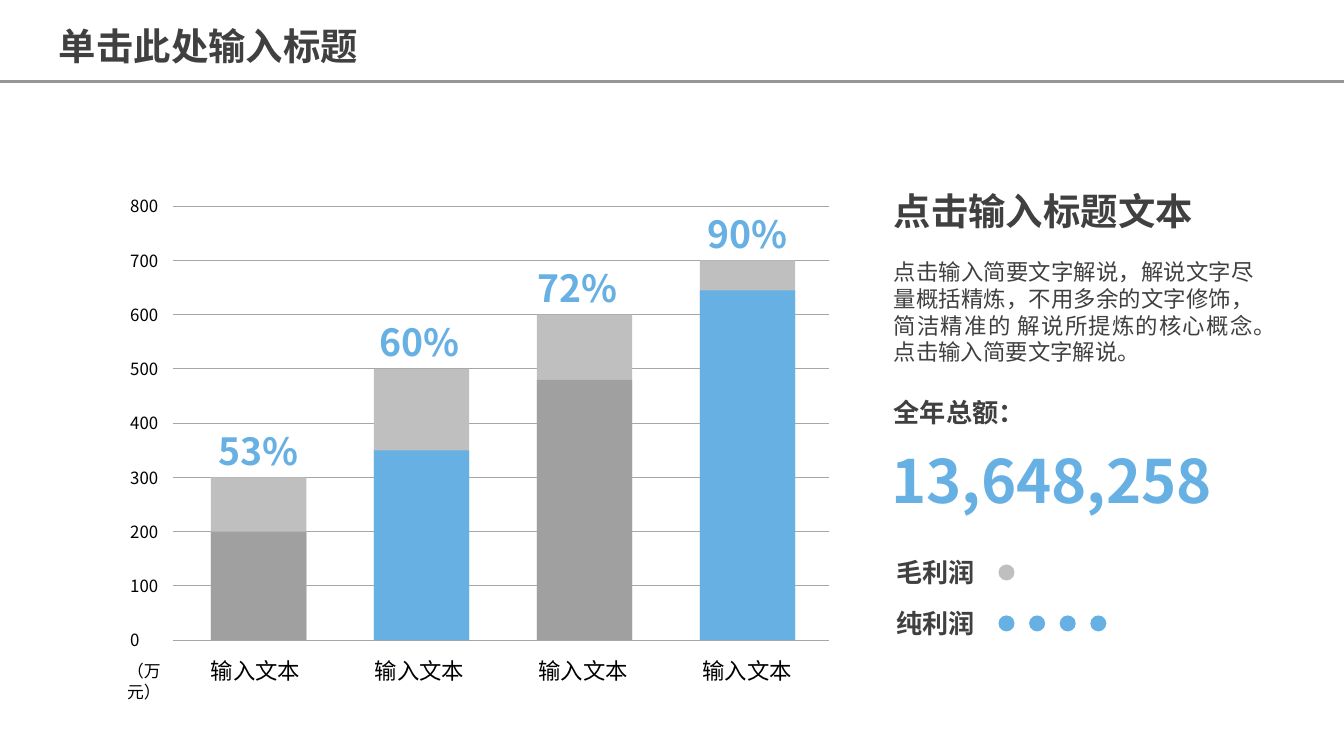
from lxml import etree
from pptx import Presentation
from pptx.dml.color import RGBColor
from pptx.enum.shapes import MSO_CONNECTOR, MSO_SHAPE
from pptx.enum.text import MSO_AUTO_SIZE, PP_ALIGN
from pptx.oxml.ns import qn
from pptx.util import Pt

LEFT, CENTER, JUSTIFY = PP_ALIGN.LEFT, PP_ALIGN.CENTER, PP_ALIGN.JUSTIFY
RECTANGLE, OVAL = MSO_SHAPE.RECTANGLE, MSO_SHAPE.OVAL
STRAIGHT = MSO_CONNECTOR.STRAIGHT
GROW = MSO_AUTO_SIZE.SHAPE_TO_FIT_TEXT

FONT = "Noto Sans CJK SC"
COLORS = {
    "black": "000000",
    "text": "404040",
    "blue": "67B0E3",
    "gray": "A0A0A0",
    "light": "BFBFBF",
    "grid": "A6A6A6",
    "rule": "969696",
}
NO_INSET = (0, 0)
INSET = (7.2, 3.6)

BASELINE = 342.9
POINTS_PER_UNIT = 0.2905
BAR_LEFT, BAR_STEP, BAR_WIDTH = 113, 87.3, 51.1
BARS = [
    (300, 200, "gray", "53%", 116.6),
    (500, 350, "blue", "60%", 203),
    (600, 480, "gray", "72%", 287.3),
    (700, 645, "blue", "90%", 378.7),
]
LEGEND = [("毛利润", 298.1, "light", 1), ("纯利润", 325.4, "blue", 4)]


class SlideBuilder:
    def __init__(self, slide):
        self.slide = slide

    def line(self, left, right, y, color, width):
        connector = self.slide.shapes.add_connector(
            STRAIGHT, Pt(left), Pt(y), Pt(right), Pt(y))
        connector.line.color.rgb = RGBColor.from_string(COLORS[color])
        connector.line.width = Pt(width)
        etree.SubElement(connector._element.spPr, qn("a:effectLst"))

    def shape(self, kind, left, top, width, height, color):
        shape = self.slide.shapes.add_shape(
            kind, Pt(left), Pt(top), Pt(width), Pt(height))
        shape.shadow.inherit = False
        shape.fill.solid()
        shape.fill.fore_color.rgb = RGBColor.from_string(COLORS[color])
        shape.line.fill.background()

    def text(self, words, left, top, width, height, size, color="text",
             bold=False, align=LEFT, inset=NO_INSET, wrap=True, spacing=None):
        box = self.slide.shapes.add_textbox(
            Pt(left), Pt(top), Pt(width), Pt(height))
        frame = box.text_frame
        frame.text = words
        frame.word_wrap = wrap
        frame.auto_size = GROW
        frame.margin_left = frame.margin_right = Pt(inset[0])
        frame.margin_top = frame.margin_bottom = Pt(inset[1])
        paragraph = frame.paragraphs[0]
        paragraph.alignment = align
        paragraph.line_spacing = spacing
        for run in paragraph.runs:
            run.font.size = Pt(size)
            run.font.bold = bold
            run.font.color.rgb = RGBColor.from_string(COLORS[color])
            run.font.name = FONT
            properties = run.font._element
            etree.SubElement(properties, qn("a:ea")).set("typeface", FONT)


def height_of(value):
    return value * POINTS_PER_UNIT


def draw_chart(builder):
    for value in range(0, 900, 100):
        y = BASELINE - height_of(value)
        builder.line(92.9, 444.2, y, "grid", 0.5)
        builder.text(str(value), 69.8, y - 5.4, 17.3, 10.8, 9, "black",
                     align=JUSTIFY)
    for index, (gross, net, color, share, share_left) in enumerate(BARS):
        left = BAR_LEFT + index * BAR_STEP
        for value, fill in ((gross, "light"), (net, color)):
            height = height_of(value)
            builder.shape(RECTANGLE, left, BASELINE - height, BAR_WIDTH,
                          height, fill)
        builder.text(share, share_left, BASELINE - height_of(gross) - 26.5,
                     43.9, 24.5, 20, "blue", True, CENTER, wrap=False)
        builder.text("输入文本", 98 + index * 87.8, 348.5, 77.8, 21.6, 12,
                     "black", align=CENTER, inset=INSET)
    builder.text("（万元）", 56.2, 350.6, 41.8, 18, 9, "black",
                 align=CENTER, inset=INSET)


def draw_summary(builder):
    builder.text("点击输入标题文本", 478.8, 100.8, 162, 24.5, 20, bold=True)
    builder.text(
        "点击输入简要文字解说，解说文字尽量概括精炼，不用多余的文字修饰，"
        "简洁精准的 解说所提炼的核心概念。点击输入简要文字解说。",
        478.8, 138.2, 193, 58.3, 12, align=JUSTIFY)
    builder.text("全年总额：", 478.8, 212.4, 113, 17.3, 14, bold=True)
    builder.text("13,648,258", 477.4, 237.6, 179.3, 38.9, 32, "blue", True)
    for name, top, color, count in LEGEND:
        builder.text(name, 480.2, top, 49.7, 17.3, 14, bold=True)
        for index in range(count):
            builder.shape(OVAL, 534.9 + index * 16.4, top + 4.3, 8.6, 8.6,
                          color)


def main():
    presentation = Presentation()
    presentation.slide_width = Pt(720)
    presentation.slide_height = Pt(405)
    slide = presentation.slides.add_slide(presentation.slide_layouts[6])
    builder = SlideBuilder(slide)
    builder.line(0, 720, 43.7, "rule", 1.75)
    builder.text("单击此处输入标题", 24.5, 4.3, 187.9, 36, 20, bold=True,
                 inset=INSET, spacing=1.2)
    draw_chart(builder)
    draw_summary(builder)
    presentation.save("out.pptx")


if __name__ == "__main__":
    main()
